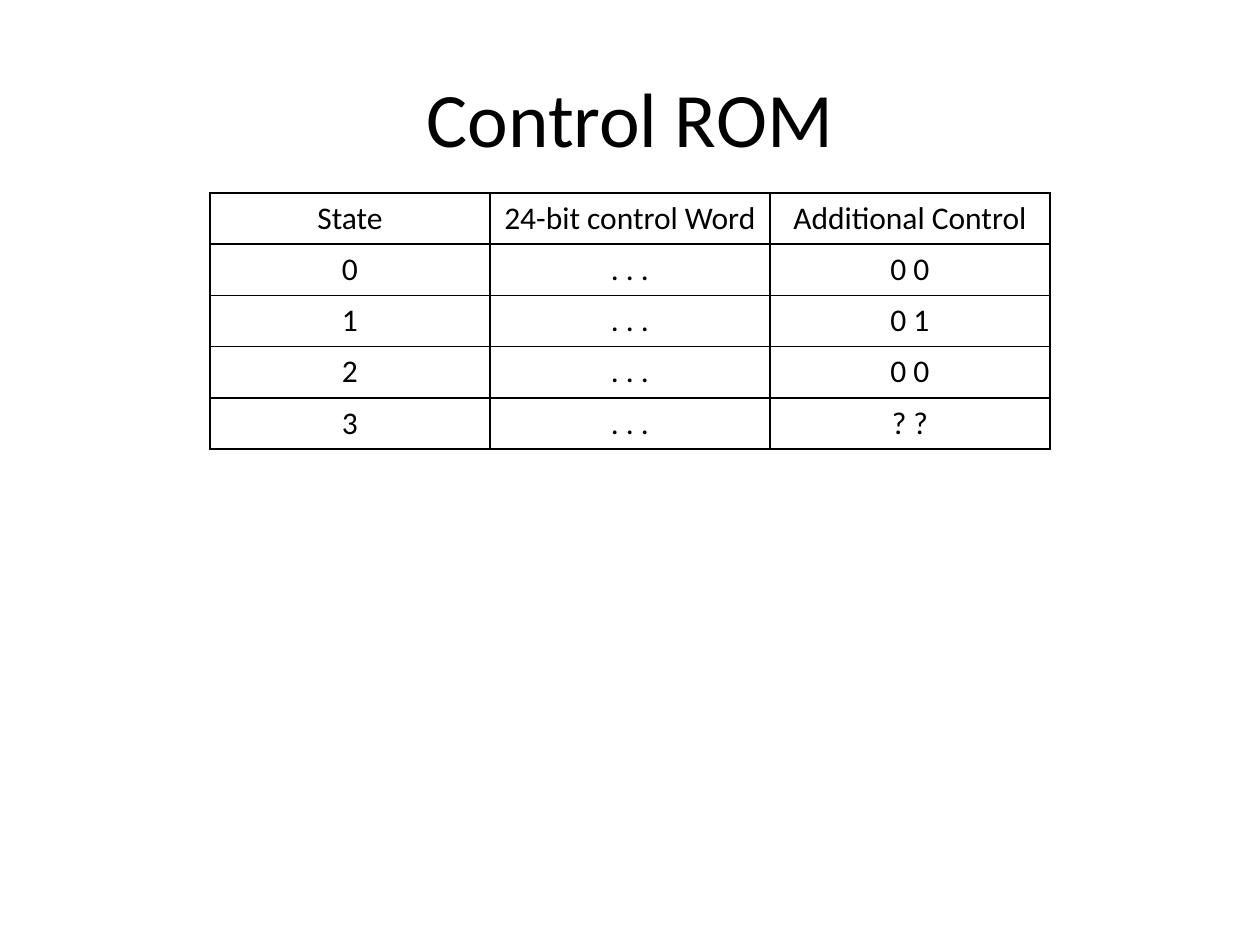
from dataclasses import dataclass

from lxml import etree
from pptx import Presentation
from pptx import util as u
from pptx.dml.color import RGBColor
from pptx.enum import text
from pptx.oxml.ns import qn

PX_PER_INCH = 126
BLACK = RGBColor(0x00, 0x00, 0x00)
FONT = "Calibri"


@dataclass
class ControlState:
    state: str
    word: str
    additional: str


@dataclass
class Box:
    left: int
    top: int
    width: int
    height: int


TITLE_BOX = Box(63, 38, 1134, 157)
TABLE_BOX = Box(210, 193, 840, 256)
ROWS = [
    ControlState("State", "24-bit control Word", "Additional Control"),
    ControlState("0", ". . .", "0 0"),
    ControlState("1", ". . .", "0 1"),
    ControlState("2", ". . .", "0 0"),
    ControlState("3", ". . .", "? ?"),
]


def px(length: float) -> u.Emu:
    """Turn pixels into EMU."""
    return u.Emu(round(length * 914400 / PX_PER_INCH))


def write_text(frame, content: str, *, size: int, color: RGBColor = BLACK) -> None:
    """Write one centred paragraph."""
    paragraph = frame.paragraphs[0]
    paragraph.alignment = text.PP_ALIGN.CENTER
    run = paragraph.add_run()
    run.text = content
    run.font.name = FONT
    run.font.size = u.Pt(size)
    run.font.color.rgb = color


def draw_borders(cell, *, color: RGBColor = BLACK, width: float = 1) -> None:
    """Rule all four sides of a table cell."""
    properties = cell._tc.get_or_add_tcPr()
    for index, side in enumerate(("lnL", "lnR", "lnT", "lnB")):
        line = etree.Element(qn(f"a:{side}"), w=str(u.Pt(width)))
        fill = etree.SubElement(line, qn("a:solidFill"))
        etree.SubElement(fill, qn("a:srgbClr"), val=str(color))
        properties.insert(index, line)


def add_title(slide, content: str, box: Box) -> None:
    """Place and fill the title placeholder."""
    title = slide.shapes.title
    title.left, title.top = px(box.left), px(box.top)
    title.width, title.height = px(box.width), px(box.height)
    title.text_frame.vertical_anchor = text.MSO_ANCHOR.MIDDLE
    write_text(title.text_frame, content, size=44)


def add_state_table(slide, states: list[ControlState], box: Box) -> None:
    """Draw the control states as a plain ruled table."""
    table = slide.shapes.add_table(
        len(states), 3, px(box.left), px(box.top), px(box.width), px(box.height)
    ).table
    table.first_row = table.horz_banding = False
    for row, state in enumerate(states):
        table.rows[row].height = px(box.height / len(states))
        for column, content in enumerate((state.state, state.word, state.additional)):
            cell = table.cell(row, column)
            cell.fill.background()
            draw_borders(cell)
            write_text(cell.text_frame, content, size=18)


def main() -> None:
    """Build the Control ROM slide."""
    presentation = Presentation()
    presentation.slide_width, presentation.slide_height = px(1260), px(945)
    slide = presentation.slides.add_slide(presentation.slide_layouts[5])
    add_title(slide, "Control ROM", TITLE_BOX)
    add_state_table(slide, ROWS, TABLE_BOX)
    presentation.save("out.pptx")


if __name__ == "__main__":
    main()
